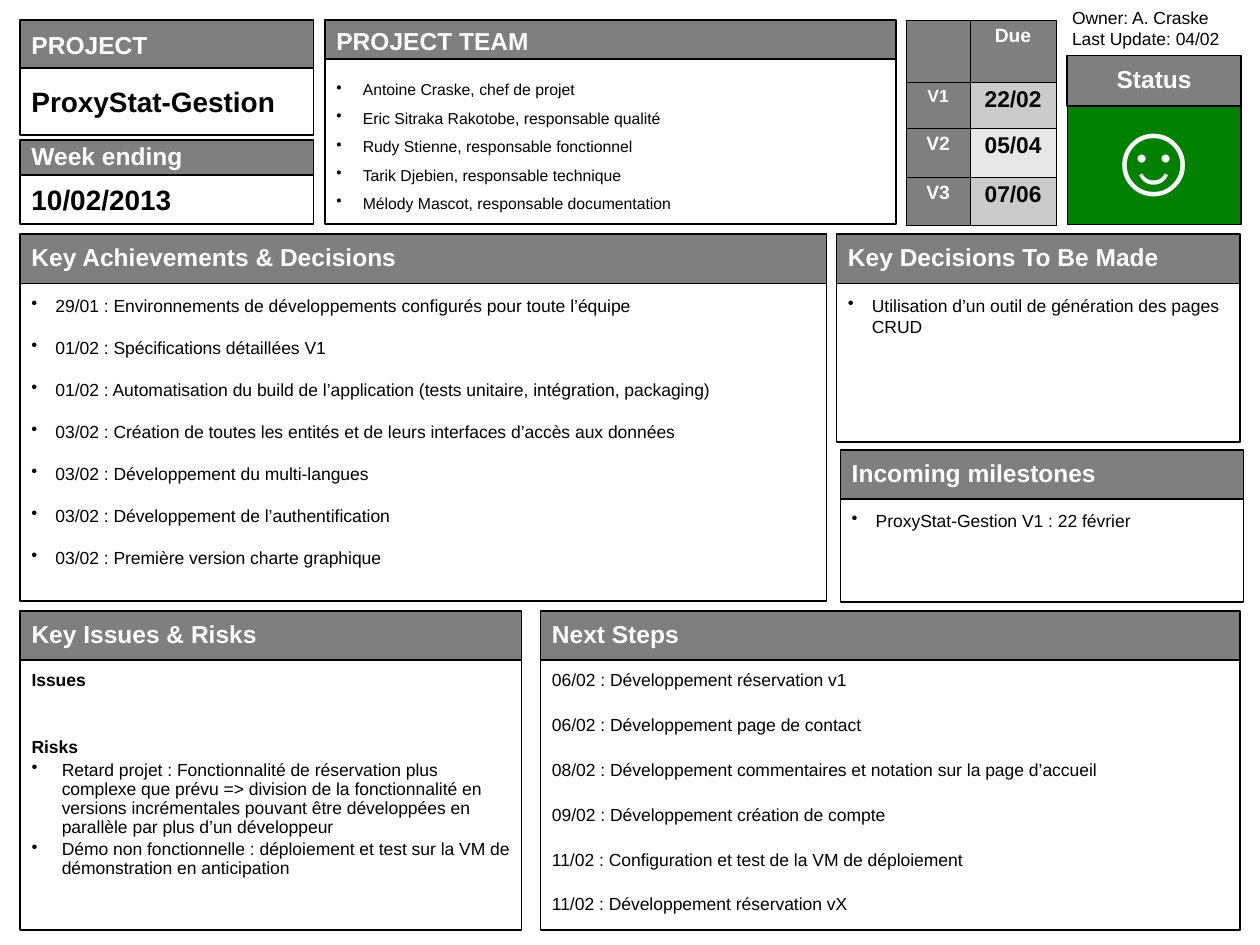
import pptx
import pptx.util
import pptx.dml.color
import pptx.enum.shapes
import pptx.enum.text
import pptx.oxml
import pptx.oxml.ns
from lxml import etree

Inches = pptx.util.Inches
Pt = pptx.util.Pt
ALIGN = pptx.enum.text.PP_ALIGN
ANCHOR = pptx.enum.text.MSO_ANCHOR
RECT = pptx.enum.shapes.MSO_SHAPE.RECTANGLE

COLORS = {
    "head": "7F7F7F",
    "white": "FFFFFF",
    "black": "000000",
    "green": "008000",
    "dark": "CBCBCB",
    "light": "E7E7E7",
}

TEAM = [
    "Antoine Craske, chef de projet",
    "Eric Sitraka Rakotobe, responsable qualité",
    "Rudy Stienne, responsable fonctionnel",
    "Tarik Djebien, responsable technique",
    "Mélody Mascot, responsable documentation",
]
DONE = [
    "29/01 : Environnements de développements configurés pour toute l’équipe",
    "01/02 : Spécifications détaillées V1",
    "01/02 : Automatisation du build de l’application (tests unitaire, intégration, packaging)",
    "03/02 : Création de toutes les entités et de leurs interfaces d’accès aux données",
    "03/02 : Développement du multi-langues",
    "03/02 : Développement de l’authentification",
    "03/02 : Première version charte graphique",
]
RISKS = [
    "Retard projet : Fonctionnalité de réservation plus complexe que prévu => division "
    "de la fonctionnalité en versions incrémentales pouvant être développées en "
    "parallèle par plus d’un développeur",
    "Démo non fonctionnelle : déploiement et test sur la VM de démonstration en anticipation",
]
STEPS = [
    "06/02 : Développement réservation v1",
    "06/02 : Développement page de contact",
    "08/02 : Développement commentaires et notation sur la page d’accueil",
    "09/02 : Développement création de compte",
    "11/02 : Configuration et test de la VM de déploiement",
    "11/02 : Développement réservation vX",
]
DATES = [("V1", "22/02", 10, "dark"), ("V2", "05/04", 11, "light"), ("V3", "07/06", 11, "dark")]


def paint(fill, color):
    fill.solid()
    fill.fore_color.rgb = pptx.dml.color.RGBColor.from_string(COLORS[color])


def add_mark(para, indent):
    props = para._p.get_or_add_pPr()
    props.set("marL", str(Inches(indent)))
    props.set("indent", str(-Inches(indent)))
    mark = etree.SubElement(props, pptx.oxml.ns.qn("a:buChar"))
    mark.set("char", "•")


def write(frame, lines, size=10, color="black", bold=False, align=ALIGN.LEFT,
          spacing=1.0, gap=0, bullet=0, more=False):
    for count, line in enumerate(lines):
        first = count == 0 and not more
        para = frame.paragraphs[0] if first else frame.add_paragraph()
        if bullet:
            add_mark(para, bullet)
        para.alignment = align
        para.line_spacing = spacing
        para.space_before = Pt(0 if first else gap)
        run = para.add_run()
        run.text = line
        run.font.name = "Arial"
        run.font.size = Pt(size)
        run.font.bold = bold
        paint(run.font.fill, color)


def set_frame(frame, side=0.09, pad=0.05, anchor=ANCHOR.TOP):
    frame.word_wrap = True
    frame.margin_left = frame.margin_right = Inches(side)
    frame.margin_top, frame.margin_bottom = Inches(pad), Inches(0.05)
    frame.vertical_anchor = anchor


def add_box(slide, left, top, width, height, fill="white", line=1, **inset):
    shape = slide.shapes.add_shape(
        RECT, Inches(left), Inches(top), Inches(width), Inches(height))
    shape.shadow.inherit = False
    paint(shape.fill, fill)
    paint(shape.line.fill, "black")
    shape.line.width = Pt(line)
    set_frame(shape.text_frame, **inset)
    return shape.text_frame


def add_panel(slide, box, title, head=0.39, inset=0.05, align=ALIGN.LEFT, pad=0.09, **body):
    left, top, width, height = box
    frame = add_box(slide, left, top + head, width, height - head, pad=pad, **body)
    label = add_box(slide, left, top, width, head, fill="head", pad=inset,
                    anchor=ANCHOR.MIDDLE)
    write(label, [title], size=14, color="white", bold=True, spacing=0.9, align=align)
    return frame


def add_fact(slide, box, title, value, **form):
    frame = add_panel(slide, box, title, pad=0.05, anchor=ANCHOR.MIDDLE, **form)
    write(frame, [value], size=16, bold=True)


def add_issues(slide, box):
    frame = add_panel(slide, box, "Key Issues & Risks")
    write(frame, ["Issues", "Risks"], bold=True, spacing=0.9, gap=27.5)
    write(frame, RISKS, spacing=0.9, gap=2, bullet=0.24, more=True)


def add_status(slide, box):
    left, top, width, height = box
    note = slide.shapes.add_textbox(
        Inches(left - 0.06), Inches(top - 0.43), Inches(1.42), Inches(0.44))
    set_frame(note.text_frame, side=0.1)
    write(note.text_frame, ["Owner: A. Craske", "Last Update: 04/02"])
    face = add_panel(slide, box, "Status", head=0.4, align=ALIGN.CENTER, fill="green",
                     line=0.75, pad=0.05, anchor=ANCHOR.MIDDLE)
    write(face, ["☺"], size=60, color="white", align=ALIGN.CENTER, spacing=0.8)


def add_edges(cell):
    props = cell._tc.get_or_add_tcPr()
    for place, side in enumerate(("lnL", "lnR", "lnT", "lnB")):
        edge = pptx.oxml.parse_xml(
            f'<a:{side} {pptx.oxml.ns.nsdecls("a")} w="{Pt(0.23)}"><a:solidFill>'
            f'<a:srgbClr val="{COLORS["black"]}"/></a:solidFill></a:{side}>')
        props.insert(place, edge)


def fill_cell(cell, text, fill, side=0.11, **form):
    paint(cell.fill, fill)
    add_edges(cell)
    cell.margin_left = cell.margin_right = Inches(side)
    cell.margin_top = cell.margin_bottom = Inches(0.05)
    if text:
        write(cell.text_frame, [text], bold=True, align=ALIGN.CENTER, spacing=0.93, **form)


def add_dates(slide, box):
    table = slide.shapes.add_table(4, 2, *map(Inches, box)).table
    table.first_row = table.horz_banding = False
    for col, width in zip(table.columns, (0.51, 0.68)):
        col.width = Inches(width)
    for row, height in zip(table.rows, (0.49, 0.37, 0.39, 0.38)):
        row.height = Inches(height)
    fill_cell(table.cell(0, 0), "", "head")
    fill_cell(table.cell(0, 1), "Due", "head", size=11, color="white")
    for row, (name, date, size, shade) in enumerate(DATES, 1):
        fill_cell(table.cell(row, 0), name, "head", side=0.04, size=size, color="white")
        fill_cell(table.cell(row, 1), date, shade, size=13)


def main():
    deck = pptx.Presentation()
    deck.slide_width, deck.slide_height = Inches(10), Inches(7.5)
    slide = deck.slides.add_slide(deck.slide_layouts[6])

    add_fact(slide, (0.16, 1.11, 2.33, 0.67), "Week ending", "10/02/2013", head=0.28)
    add_fact(slide, (0.16, 0.16, 2.33, 0.91), "PROJECT", "ProxyStat-Gestion",
             head=0.38, inset=0.09)
    team = add_panel(slide, (2.58, 0.16, 4.53, 1.62), "PROJECT TEAM", head=0.31, inset=0.09)
    write(team, TEAM, size=9, spacing=1.5, bullet=0.21)
    add_dates(slide, (7.19, 0.16, 1.19, 1.63))
    add_status(slide, (8.47, 0.44, 1.38, 1.34))

    done = add_panel(slide, (0.16, 1.86, 6.4, 2.91), "Key Achievements & Decisions")
    write(done, DONE, gap=12, bullet=0.19)
    choice = add_panel(slide, (6.64, 1.86, 3.2, 1.65), "Key Decisions To Be Made")
    write(choice, ["Utilisation d’un outil de génération des pages CRUD"], bullet=0.19)
    goals = add_panel(slide, (6.67, 3.57, 3.2, 1.21), "Incoming milestones")
    write(goals, ["ProxyStat-Gestion V1 : 22 février"], bullet=0.19)

    add_issues(slide, (0.16, 4.85, 3.98, 2.53))
    steps = add_panel(slide, (4.29, 4.85, 5.55, 2.53), "Next Steps")
    write(steps, STEPS, spacing=0.9, gap=14.8)
    deck.save("out.pptx")


if __name__ == "__main__":
    main()
